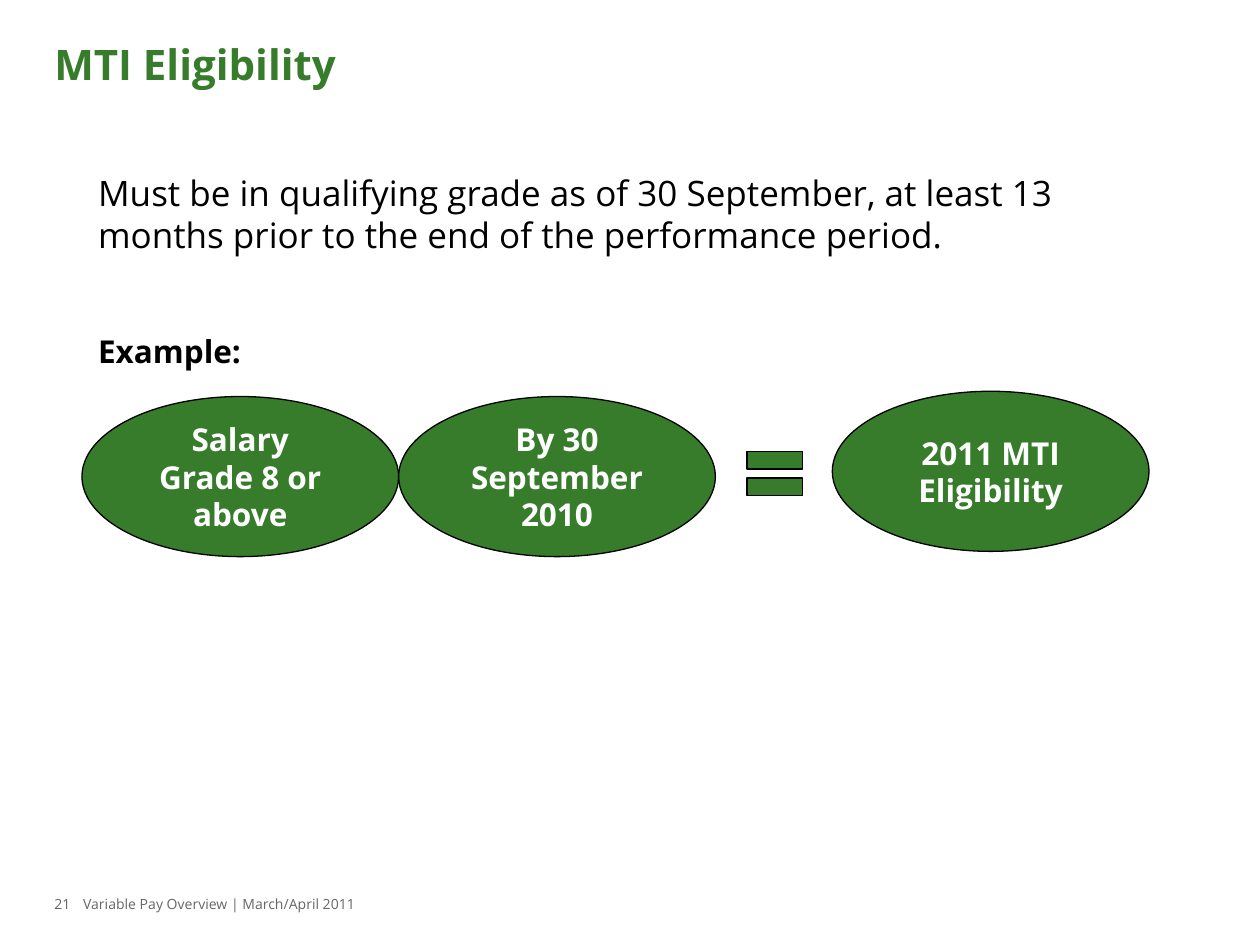
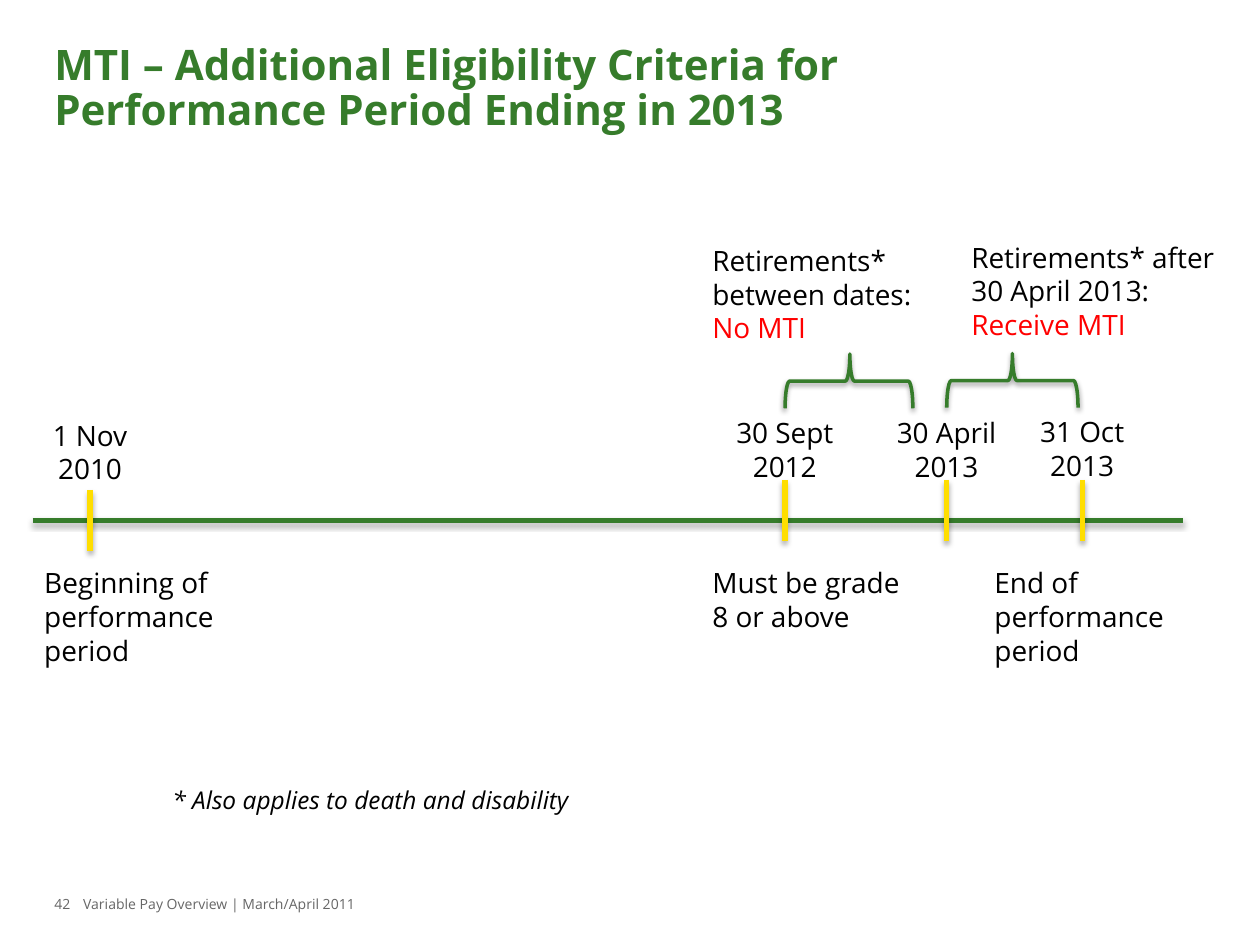
from dataclasses import dataclass

from lxml import etree
from pptx import Presentation
from pptx.dml.color import RGBColor
from pptx.enum.shapes import MSO_CONNECTOR, MSO_SHAPE
from pptx.enum.text import MSO_ANCHOR, MSO_AUTO_SIZE, PP_ALIGN
from pptx.oxml.ns import qn
from pptx.util import Pt

STRAIGHT = MSO_CONNECTOR.STRAIGHT
ELLIPSE, EQUALS, BRACE = MSO_SHAPE.OVAL, MSO_SHAPE.MATH_EQUAL, MSO_SHAPE.LEFT_BRACE
TOP, MIDDLE = MSO_ANCHOR.TOP, MSO_ANCHOR.MIDDLE
LEFT, CENTER = PP_ALIGN.LEFT, PP_ALIGN.CENTER
NO_FIT = MSO_AUTO_SIZE.NONE


@dataclass(frozen=True)
class Theme:
    """Colours, font and type sizes of the deck."""
    green = RGBColor(0x36, 0x7C, 0x2B)
    yellow = RGBColor(0xFF, 0xDE, 0x00)
    red = RGBColor(0xFF, 0x00, 0x00)
    black = RGBColor(0x00, 0x00, 0x00)
    white = RGBColor(0xFF, 0xFF, 0xFF)
    gray = RGBColor(0x66, 0x66, 0x66)
    font = "Open Sans"
    title = Pt(24)
    lead = Pt(20)
    emphasis = Pt(18)
    label = Pt(16)
    note = Pt(14)
    footer = Pt(8)


theme = Theme()


def write(shape, text, size, colour=theme.black, align=LEFT, anchor=TOP, side=7.2, bold=False):
    """Put wrapped, formatted text in a shape and return its paragraphs."""
    frame = shape.text_frame
    frame.text = text
    frame.word_wrap = True
    frame.auto_size = NO_FIT
    frame.vertical_anchor = anchor
    frame.margin_left = frame.margin_right = Pt(side)
    frame.margin_top = frame.margin_bottom = Pt(3.6)
    for para in frame.paragraphs:
        para.alignment = align
        para.font.name = theme.font
        para.font.size = size
        para.font.bold = bold
        para.font.color.rgb = colour
    return frame.paragraphs


def add_shadow(shape, distance, opacity):
    """Give a shape or connector a soft shadow straight below it."""
    effects = etree.SubElement(shape._element.spPr, qn("a:effectLst"))
    shadow = etree.SubElement(effects, qn("a:outerShdw"), blurRad=str(Pt(3.1)),
                              dist=str(Pt(distance)), dir="5400000", rotWithShape="0")
    colour = etree.SubElement(shadow, qn("a:srgbClr"), val=str(theme.black))
    etree.SubElement(colour, qn("a:alpha"), val=str(opacity * 1000))


deck = Presentation()
deck.slide_width, deck.slide_height = Pt(720), Pt(540)

# Shared title and footer
pages = []
for number, title in (
    ("21", "MTI Eligibility"),
    ("42", "MTI – Additional Eligibility Criteria for\vPerformance Period Ending in 2013"),
):
    page = deck.slides.add_slide(deck.slide_layouts[5])
    heading = page.shapes.title
    heading.left, heading.top, heading.width, heading.height = Pt(31), Pt(21.6), Pt(658), Pt(51)
    for para in write(heading, title, theme.title, theme.green, side=0, bold=True):
        para.line_spacing = 0.9
    for left, width, text in ((47.5, 428, "Variable Pay Overview | March/April 2011"),
                              (31, 18, number)):
        box = page.shapes.add_textbox(Pt(left), Pt(508.3), Pt(width), Pt(18))
        write(box, text, theme.footer, theme.gray, side=0)
    pages.append(page)
eligibility, criteria = pages

# Eligibility: rule and example
box = eligibility.shapes.add_textbox(Pt(49), Pt(94.3), Pt(587), Pt(135))
rule, example = write(
    box,
    "Must be in qualifying grade as of 30 September, at least 13 months prior to "
    "the end of the performance period.\nExample:",
    theme.lead)
example.font.size = theme.emphasis
example.font.bold = True
example.space_before = Pt(43.6)

# Eligibility: equation
equation = (
    (ELLIPSE, 46.8, 226.6, 181, 91.5, "Salary Grade 8 or above"),
    (ELLIPSE, 227.8, 226.6, 181, 91.5, "By 30 September 2010"),
    (EQUALS, 421.2, 249, 43.2, 43.2, ""),
    (ELLIPSE, 475.6, 223.6, 181, 91.5, "2011 MTI Eligibility"),
)
for kind, left, top, width, height, text in equation:
    shape = eligibility.shapes.add_shape(kind, Pt(left), Pt(top), Pt(width), Pt(height))
    shape.shadow.inherit = False
    shape.fill.solid()
    shape.fill.fore_color.rgb = theme.green
    shape.line.color.rgb = theme.black
    shape.line.width = Pt(0.75)
    if text:
        write(shape, text, theme.emphasis, theme.white, CENTER, MIDDLE, bold=True)

# Criteria: time line with its ticks
tick_height, date_width = 35, 103
events = (  # centre, tick top, date top, date
    (51.5, 280, 235.4, "1 Nov\n2010"),
    (448.5, 274.3, 234, "30 Sept\n2012"),
    (540.9, 274.3, 234, "30 April\n2013"),
    (618.4, 274.3, 233.3, "31 Oct\n2013"),
)
lines = [(18.7, 297.4, 676, 297.4, theme.green)]
lines += [(x, top, x, top + tick_height, theme.yellow) for x, top, _, _ in events]
for x1, y1, x2, y2, colour in lines:
    line = criteria.shapes.add_connector(STRAIGHT, Pt(x1), Pt(y1), Pt(x2), Pt(y2))
    line.line.color.rgb = colour
    line.line.width = Pt(3)
    add_shadow(line, 1.8, 35)

for centre, _, top, date in events:
    box = criteria.shapes.add_textbox(Pt(centre - date_width / 2), Pt(top), Pt(date_width), Pt(46))
    write(box, date, theme.label, align=CENTER)

# Criteria: meaning of the dates
for left, width, text in ((18.2, 140, "Beginning of performance period"),
                          (400, 122, "Must be grade 8 or above"),
                          (561.2, 150, "End of performance period")):
    box = criteria.shapes.add_textbox(Pt(left), Pt(319.8), Pt(width), Pt(65.5))
    write(box, text, theme.label)

# Criteria: retirements and their outcome
for left, top, width, text, outcome in (
    (400, 135.6, 153, "Retirements* between dates: ", "No MTI"),
    (548, 133.8, 172, "Retirements* after\n30 April 2013:\n", "Receive MTI"),
):
    box = criteria.shapes.add_textbox(Pt(left), Pt(top), Pt(width), Pt(65.5))
    span = write(box, text, theme.label)[-1].add_run()
    span.text = outcome
    span.font.color.rgb = theme.red

for left, top, height, middle in ((469.6, 181.3, 73, 0.493), (563, 180, 75, 0.5)):
    brace = criteria.shapes.add_shape(BRACE, Pt(left), Pt(top), Pt(31), Pt(height))
    brace.rotation = 90
    brace.adjustments[0], brace.adjustments[1] = 0.083, middle
    brace.fill.background()
    brace.line.color.rgb = theme.green
    brace.line.width = Pt(2)
    add_shadow(brace, 1.6, 38)

box = criteria.shapes.add_textbox(Pt(91.4), Pt(445), Pt(504), Pt(24.5))
write(box, "* Also applies to death and disability", theme.note)[0].font.italic = True

deck.save("out.pptx")
